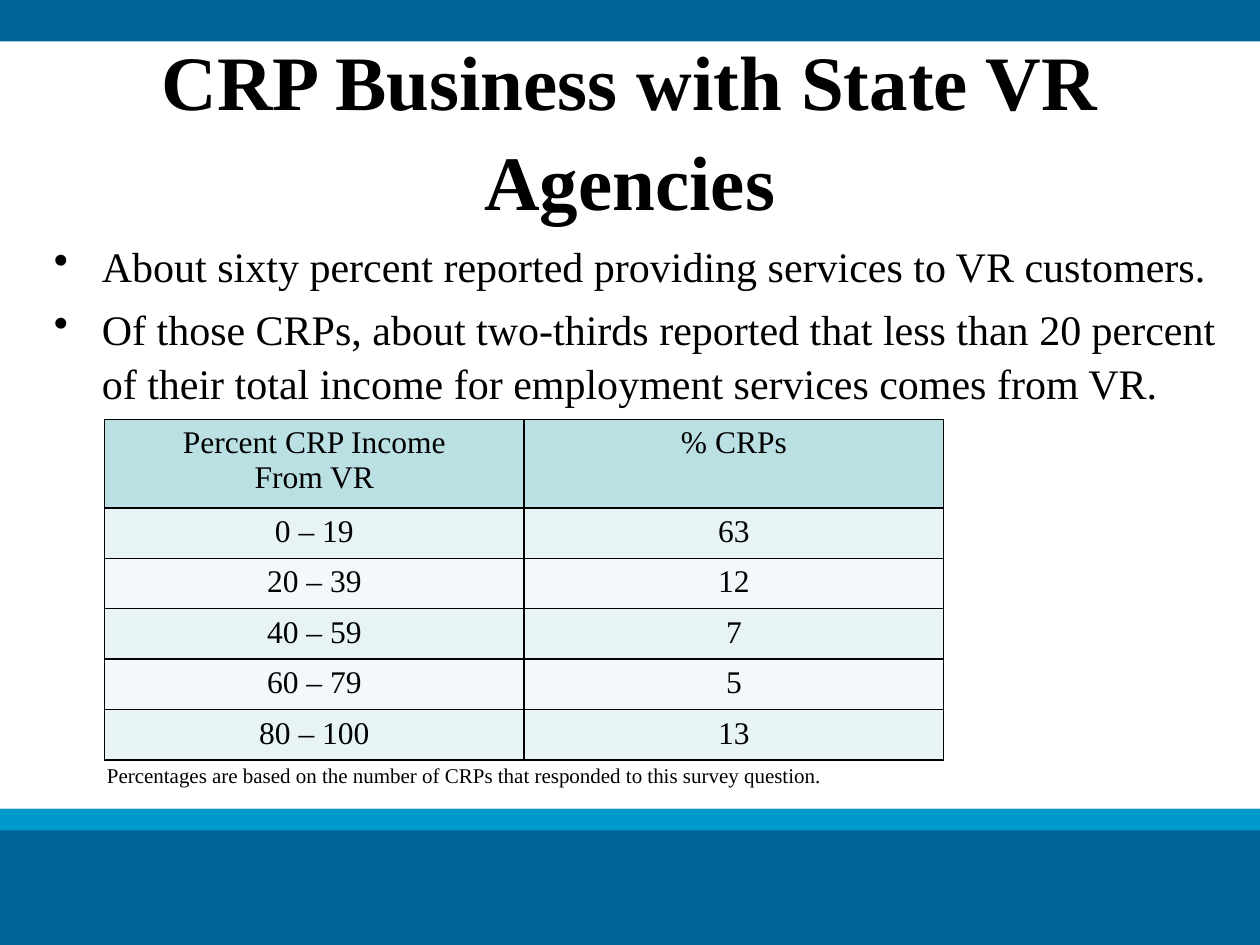
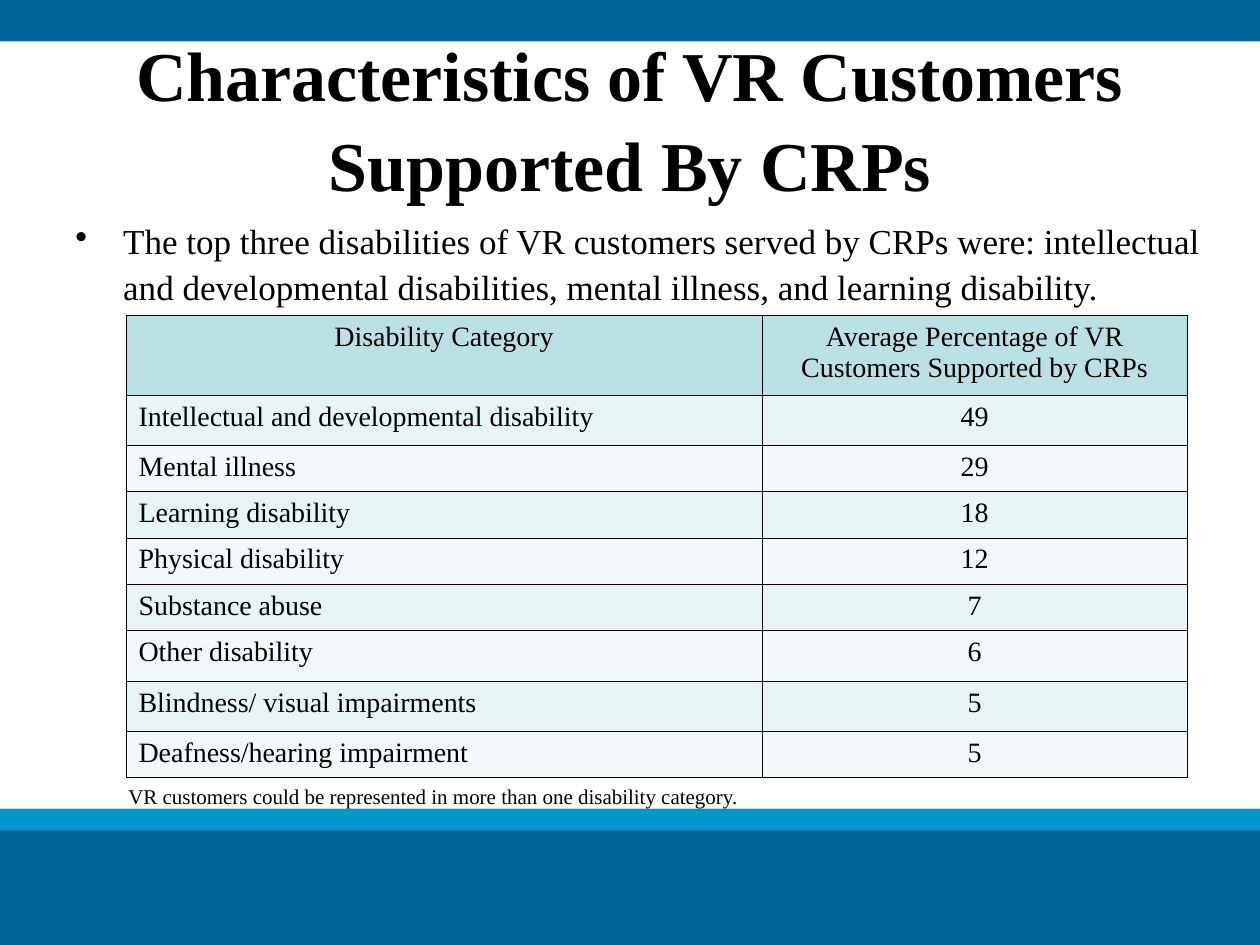
from pptx import Presentation
from pptx.dml.color import RGBColor
from pptx.enum import shapes, text
from pptx.oxml.ns import qn
from pptx.util import Inches, Pt
from lxml import etree

FONT = "Times New Roman"
BLACK = RGBColor(0x00, 0x00, 0x00)
NAVY = RGBColor(0x00, 0x66, 0x99)
SKY = RGBColor(0x00, 0x99, 0xCC)
HEAD = RGBColor(0xBB, 0xE0, 0xE3)
ROWS = [RGBColor(0xE7, 0xF3, 0xF4), RGBColor(0xF3, 0xF9, 0xFA)]
LEFT, MID = text.PP_ALIGN.LEFT, text.PP_ALIGN.CENTER
LEADING = 1.08
INDENT = Inches(0.38)

BANDS = [(6.42, 1.08, NAVY), (6.42, 0.17, SKY), (0, 0.33, NAVY)]

SLIDES = [
    dict(
        title=("CRP Business with State VR Agencies", (0, 0.5, 10, 1), 44),
        points=([
            "About sixty percent reported providing services to VR customers.",
            "Of those CRPs, about two-thirds reported that less than 20 percent "
            "of their total income for employment services comes from VR.",
        ], (0.33, 1.83, 9.42, 4.67), 24),
        table=dict(
            cells=[
                ("Percent CRP Income\nFrom VR", "% CRPs"),
                ("0 – 19", "63"),
                ("20 – 39", "12"),
                ("40 – 59", "7"),
                ("60 – 79", "5"),
                ("80 – 100", "13"),
            ],
            at=(0.83, 3.33), cols=[3.33, 3.33], rows=[0.58] + [0.37] * 5,
            size=18, line=1, first=MID),
        note=("Percentages are based on the number of CRPs that responded "
              "to this survey question.", (0.75, 6, 6.58, 0.3)),
    ),
    dict(
        title=("Characteristics of VR Customers Supported By CRPs",
               (0.75, 0.33, 8.5, 1.17), 40),
        points=([
            "The top three disabilities of VR customers served by CRPs were: "
            "intellectual and developmental disabilities, mental illness, "
            "and learning disability.",
        ], (0.5, 1.67, 9.17, 4.75), 20),
        table=dict(
            cells=[
                ("Disability Category",
                 "Average Percentage of VR Customers Supported by CRPs"),
                ("Intellectual and developmental disability", "49"),
                ("Mental illness", "29"),
                ("Learning disability", "18"),
                ("Physical disability", "12"),
                ("Substance abuse", "7"),
                ("Other disability", "6"),
                ("Blindness/ visual impairments", "5"),
                ("Deafness/hearing impairment", "5"),
            ],
            at=(1, 2.5), cols=[5.05, 3.37],
            rows=[0.48, 0.4, 0.25, 0.25, 0.3, 0.37, 0.4, 0.4, 0.25],
            size=16, line=0.25, first=LEFT),
        note=("VR customers could be represented in more than one disability "
              "category.", (0.92, 6.17, 7.5, 0.3)),
    ),
]


def write(frame, lines, size, align=LEFT, bold=False, bullet=False, leading=None):
    frame.word_wrap = True
    for i, line in enumerate(lines):
        para = frame.add_paragraph() if i else frame.paragraphs[0]
        if bullet:
            props = para._p.get_or_add_pPr()
            props.set("marL", str(INDENT))
            props.set("indent", str(-INDENT))
            etree.SubElement(props, qn("a:buChar")).set("char", "•")
            if i:
                para.space_before = Pt(size * 0.2)
        para.alignment = align
        if leading:
            para.line_spacing = leading
        run = para.add_run()
        run.text = line
        font = run.font
        font.name, font.size, font.bold = FONT, Pt(size), bold
        font.color.rgb = BLACK


def add_box(slide, at, lines, size, **style):
    frame = slide.shapes.add_textbox(*map(Inches, at)).text_frame
    write(frame, lines, size, **style)
    return frame


def add_bands(slide):
    for top, height, color in BANDS:
        band = slide.shapes.add_shape(
            shapes.MSO_SHAPE.RECTANGLE, 0, Inches(top), Inches(10), Inches(height))
        band.shadow.inherit = False
        band.fill.solid()
        band.fill.fore_color.rgb = color
        band.line.fill.background()


def add_edges(cell, width):
    props = cell._tc.get_or_add_tcPr()
    for side in "LRTB":
        edge = etree.SubElement(props, qn("a:ln" + side), w=str(Pt(width)))
        fill = etree.SubElement(edge, qn("a:solidFill"))
        etree.SubElement(fill, qn("a:srgbClr"), val=str(BLACK))


def add_grid(slide, cells, at, cols, rows, size, line, first):
    left, top = at
    grid = slide.shapes.add_table(
        len(rows), len(cols), *map(Inches, (left, top, sum(cols), sum(rows)))).table
    grid.first_row = grid.horz_banding = False
    for col, width in zip(grid.columns, cols):
        col.width = Inches(width)
    for r, (row, height) in enumerate(zip(grid.rows, rows)):
        row.height = Inches(height)
        for c, words in enumerate(cells[r]):
            cell = grid.cell(r, c)
            align = first if r and not c else MID
            write(cell.text_frame, words.split("\n"), size, align)
            add_edges(cell, line)
            cell.fill.solid()
            cell.fill.fore_color.rgb = ROWS[(r - 1) % 2] if r else HEAD


def main():
    deck = Presentation()
    deck.slide_width, deck.slide_height = Inches(10), Inches(7.5)
    for part in SLIDES:
        slide = deck.slides.add_slide(deck.slide_layouts[6])
        add_bands(slide)
        title, at, size = part["title"]
        frame = add_box(slide, at, [title], size, align=MID, bold=True,
                        leading=LEADING)
        frame.vertical_anchor = text.MSO_ANCHOR.MIDDLE
        points, at, size = part["points"]
        add_box(slide, at, points, size, bullet=True, leading=LEADING)
        add_grid(slide, **part["table"])
        note, at = part["note"]
        add_box(slide, at, [note], 12)
    deck.save("out.pptx")


if __name__ == "__main__":
    main()
